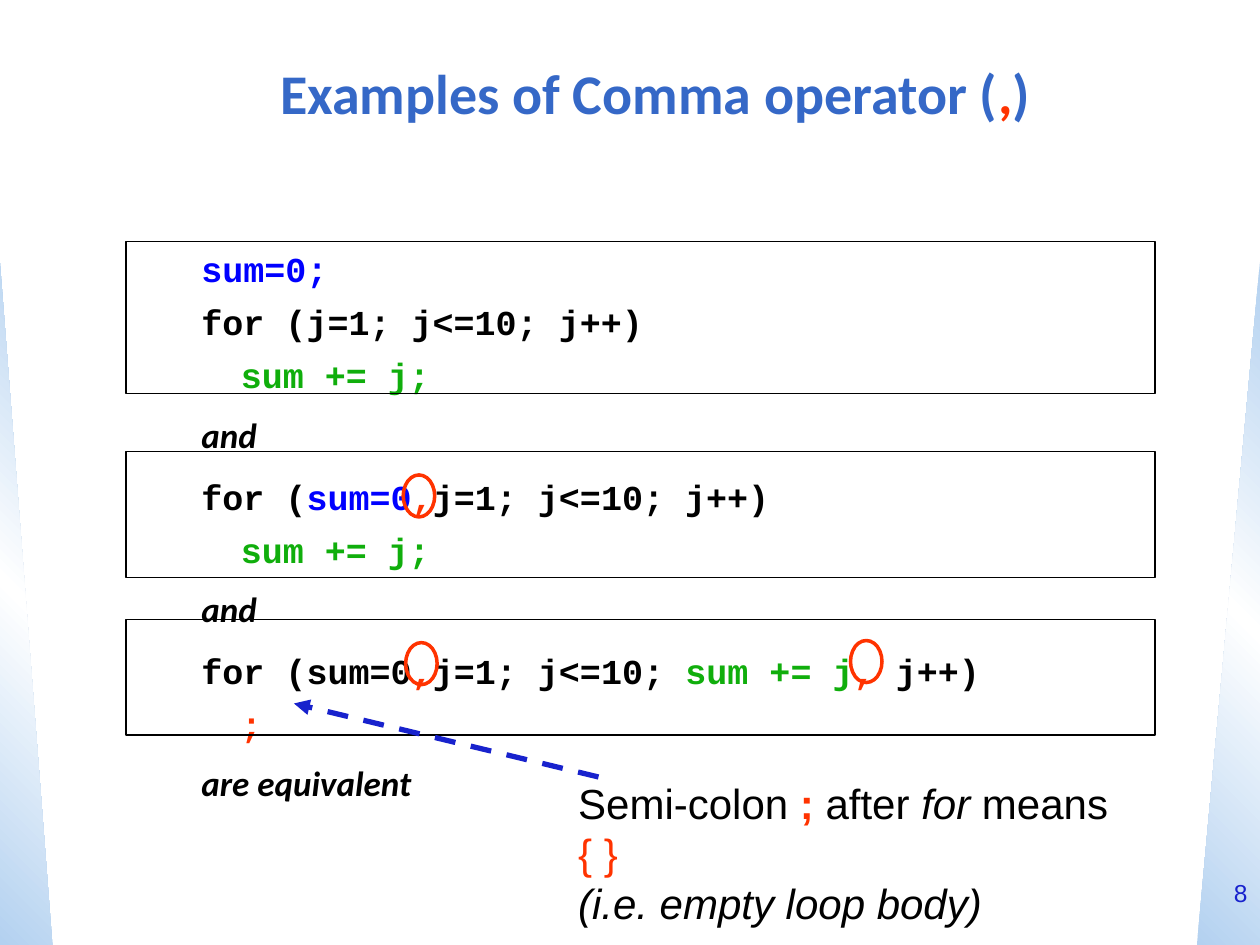
import pptx
import pptx.util
import pptx.oxml
import pptx.oxml.ns
import pptx.oxml.xmlchemy
import pptx.dml.color
import pptx.enum.dml
import pptx.enum.shapes
import pptx.enum.text
from dataclasses import dataclass

Pt = pptx.util.Pt
Shape = pptx.enum.shapes.MSO_SHAPE
Align = pptx.enum.text.PP_ALIGN
Anchor = pptx.enum.text.MSO_ANCHOR


@dataclass(frozen=True)
class Theme:
    black: str = "000000"
    heading: str = "3568C7"
    red: str = "FF3300"
    blue: str = "0000FF"
    green: str = "10AE0C"
    navy: str = "1822CD"
    pale: str = "B3D1F0"
    white: str = "FFFFFF"
    title_size: int = 32
    note_size: int = 24
    code_size: int = 20
    number_size: int = 14
    prose_font: str = "Calibri"
    code_font: str = "Courier New"
    note_font: str = "Arial"


def rgb(value):
    return pptx.dml.color.RGBColor.from_string(value)


def add_text(paragraph, text, font, size, color=Theme.black, bold=False, italic=False):
    run = paragraph.add_run()
    run.text = text
    run.font.name = font
    run.font.size = Pt(size)
    run.font.color.rgb = rgb(color)
    run.font.bold = bold
    run.font.italic = italic


class SlideBuilder:
    def __init__(self, slide, theme):
        self.slide = slide
        self.theme = theme

    def shape(self, kind, box, line=None, width=0):
        shape = self.slide.shapes.add_shape(kind, *map(Pt, box))
        shape.shadow.inherit = False
        shape.fill.background()
        if line:
            shape.line.color.rgb = rgb(line)
            shape.line.width = Pt(width)
        else:
            shape.line.fill.background()
        return shape

    def side_wedge(self, box, angle, flipped=False):
        wedge = self.shape(Shape.RIGHT_TRIANGLE, box)
        stops = ((0, self.theme.pale), (50, self.theme.white), (100, self.theme.pale))
        stop_xml = "".join(
            f'<a:gs pos="{position * 1000}"><a:srgbClr val="{color}"/></a:gs>'
            for position, color in stops)
        gradient = pptx.oxml.parse_xml(
            '<a:gradFill xmlns:a="http://schemas.openxmlformats.org/drawingml/2006/main" '
            f'rotWithShape="1"><a:gsLst>{stop_xml}</a:gsLst>'
            f'<a:lin ang="{angle * 60000}" scaled="1"/></a:gradFill>')
        properties = wedge.element.spPr
        properties.replace(properties.find(pptx.oxml.ns.qn("a:noFill")), gradient)
        if flipped:
            properties.find(pptx.oxml.ns.qn("a:xfrm")).set("flipH", "1")

    def text_box(self, box, wrap=True, anchor=Anchor.TOP):
        frame = self.slide.shapes.add_textbox(*map(Pt, box)).text_frame
        frame.word_wrap = wrap
        frame.vertical_anchor = anchor
        return frame

    def outline_paragraph(self, frame, first=False, before=6.3, after=0):
        paragraph = frame.paragraphs[0] if first else frame.add_paragraph()
        properties = paragraph._p.get_or_add_pPr()
        properties.set("marL", str(Pt(58.5)))
        properties.set("indent", str(Pt(-22.5)))
        if not first:
            paragraph.space_before = Pt(before)
        paragraph.space_after = Pt(after)
        return paragraph

    def code_examples(self, box, examples):
        theme = self.theme
        frame = self.text_box(box)
        first = True
        for code_lines, link in examples:
            for pieces in code_lines:
                paragraph = self.outline_paragraph(frame, first)
                first = False
                for text, color in pieces:
                    add_text(paragraph, text, theme.code_font, theme.code_size,
                             color=color, bold=True)
            paragraph = self.outline_paragraph(frame, before=10, after=5)
            add_text(paragraph, link, theme.prose_font, theme.code_size,
                     bold=True, italic=True)

    def dashed_arrow(self, start, end, color, width):
        arrow = self.slide.shapes.add_connector(
            pptx.enum.shapes.MSO_CONNECTOR.STRAIGHT, *map(Pt, start + end))
        arrow.line.color.rgb = rgb(color)
        arrow.line.width = Pt(width)
        arrow.line.dash_style = pptx.enum.dml.MSO_LINE.DASH
        tail = pptx.oxml.xmlchemy.OxmlElement("a:tailEnd")
        tail.set("type", "triangle")
        arrow.line._get_or_add_ln().append(tail)
        arrow.element.spPr.append(pptx.oxml.xmlchemy.OxmlElement("a:effectLst"))


def main():
    theme = Theme()
    deck = pptx.Presentation()
    deck.slide_width, deck.slide_height = Pt(720), Pt(540)
    page = SlideBuilder(deck.slides.add_slide(deck.slide_layouts[6]), theme)

    page.side_wedge((0, 150, 30, 390), 315)
    page.side_wedge((684, 150, 36, 390), 45, flipped=True)

    title = page.text_box((72, 21.6, 612, 62.6), anchor=Anchor.MIDDLE).paragraphs[0]
    title.alignment = Align.CENTER
    for text, color in (("Examples of Comma operator (", theme.heading),
                        (",", theme.red), (") ", theme.heading)):
        add_text(title, text, theme.prose_font, theme.title_size, color=color, bold=True)

    loop_body = [("\t", theme.black), ("sum += j;", theme.green)]
    page.code_examples((72, 138, 594, 360), [
        ([[("sum=0;", theme.blue)],
          [("for (j=1; j<=10; j++)", theme.black)],
          loop_body], "and"),
        ([[("for (", theme.black), ("sum=0", theme.blue), (",", theme.red),
           ("j=1; j<=10; j++)", theme.black)],
          loop_body], "and"),
        ([[("for (sum=0", theme.black), (",", theme.red), ("j=1; j<=10; ", theme.black),
           ("sum += j", theme.green), (", ", theme.red), ("j++)", theme.black)],
          [("\t", theme.black), (";", theme.red)]], "are equivalent"),
    ])
    for top, height in ((138, 87), (258, 72), (354, 66)):
        page.shape(Shape.RECTANGLE, (72, top, 588, height), theme.black, 0.75)

    page.dashed_arrow((342, 444), (168, 402), theme.navy, 3)

    note = page.text_box((323.3, 440.6, 346.3, 64.8), wrap=False).paragraphs[0]
    for text, style in (("Semi-colon ", {}), (";", {"color": theme.red, "bold": True}),
                        (" after ", {}), ("for", {"italic": True}), (" means ", {}),
                        ("{ }", {"color": theme.red})):
        add_text(note, text, theme.note_font, theme.note_size, **style)
    note.add_line_break()
    add_text(note, "(i.e. empty loop body)", theme.note_font, theme.note_size, italic=True)

    for left, top in ((486, 366), (230.4, 271.4), (231.8, 367.2)):
        page.shape(Shape.OVAL, (left, top, 18, 24), theme.red, 2)

    number = page.text_box((684, 498, 36, 42)).paragraphs[0]
    number.alignment = Align.RIGHT
    add_text(number, "8", theme.note_font, theme.number_size, color=theme.navy)

    deck.save("out.pptx")


if __name__ == "__main__":
    main()
